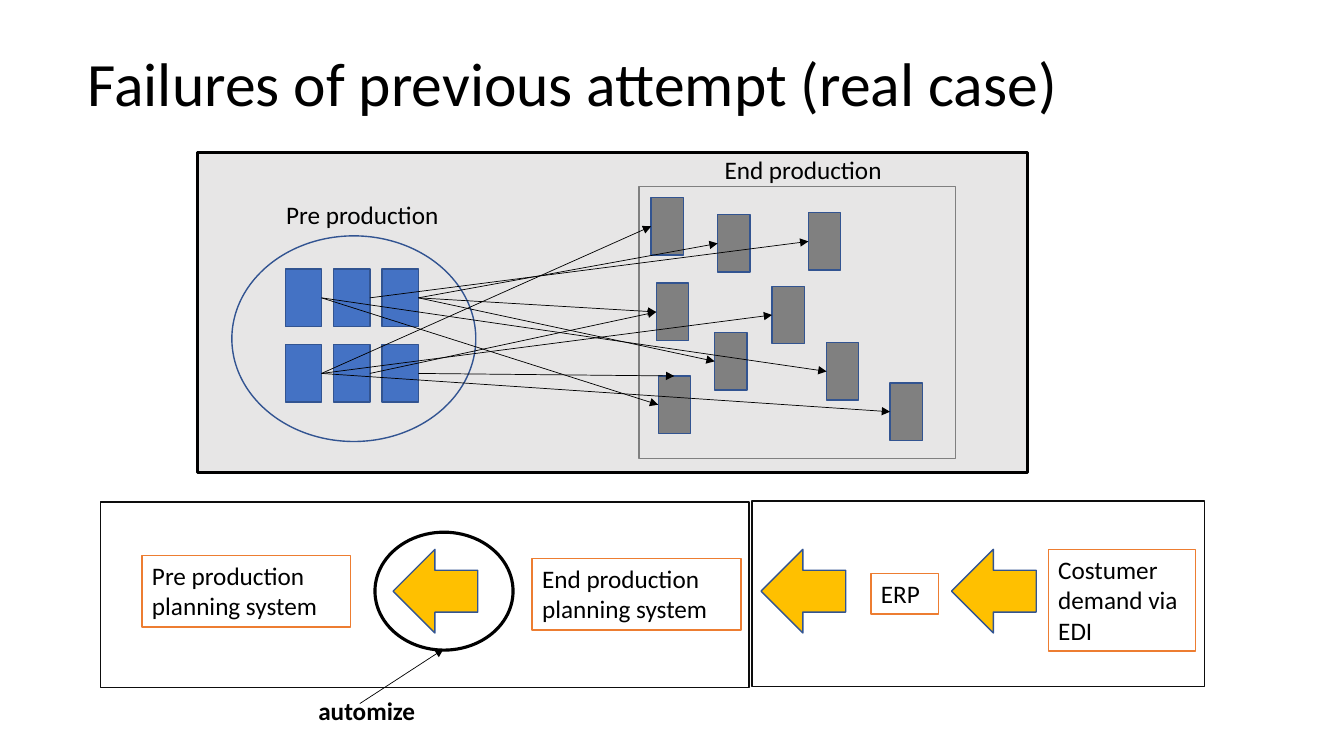
import pptx
import pptx.dml.color
import pptx.enum.shapes
import pptx.enum.text
import pptx.oxml
import pptx.util

COLUMNS, ROWS = 133.33, 75
CELL = pptx.util.Inches(0.1)
SHAPES = pptx.enum.shapes.MSO_SHAPE
TEXT = pptx.enum.text
TOP, LEFT, RIGHT = 0, 1, 3
BLACK, GREY, PALE, WHITE = "000000", "808080", "E7E6E6", "FFFFFF"
BLUE, NAVY, ORANGE, AMBER = "4472C4", "325491", "ED7D31", "FFC000"

# Places are (column, row) of the grid.
PRESS_SIZE = (3.6, 5.7)
STATION_SIZE = (3.2, 5.7)
STATIONS = {
    "lower left": (65.3, 37.3),
    "lower right": (82, 34),
    "lower middle": (70.9, 33),
    "upper right": (80.2, 21.1),
    "upper middle": (71.2, 21.3),
    "centre left": (65.1, 28.1),
    "upper left": (64.6, 19.6),
    "centre": (76.6, 28.4),
    "far right": (88.3, 38),
}
# Press (column, row), station, side of the station.
DELIVERIES = [
    ((2, 0), "upper middle", LEFT),
    ((2, 0), "centre left", LEFT),
    ((2, 0), "lower middle", LEFT),
    ((1, 1), "centre left", LEFT),
    ((0, 1), "upper left", LEFT),
    ((0, 0), "lower left", LEFT),
    ((0, 1), "far right", LEFT),
    ((1, 0), "upper right", LEFT),
    ((0, 1), "centre", LEFT),
    ((0, 0), "lower right", LEFT),
    ((2, 1), "lower left", TOP),
]
SYSTEMS = [
    ("Pre production planning system", (14.1, 55.1, 20.7, 7.1)),
    ("End production planning system", (52.8, 55.4, 20.7, 7.1)),
    ("ERP", (86.4, 56.9, 6.7, 4)),
    ("Costumer demand via EDI", (104, 54.5, 14.6, 10.1)),
]


def grid(*cells):
    return [round(cell * CELL) for cell in cells]


def colour(code):
    return pptx.dml.color.RGBColor.from_string(code)


def apply(target, values):
    """Set each attribute of target named in values."""
    for name, value in values.items():
        setattr(target, name, value)


def write(frame, words, size=18, bold=None, spacing=None,
          anchor=TEXT.MSO_ANCHOR.TOP):
    apply(frame, {"word_wrap": True, "auto_size": TEXT.MSO_AUTO_SIZE.NONE,
                  "vertical_anchor": anchor})
    para = frame.paragraphs[0]
    apply(para, {"alignment": TEXT.PP_ALIGN.LEFT, "line_spacing": spacing})
    span = para.add_run()
    span.text = words
    apply(span.font, {"name": "Calibri", "size": pptx.util.Pt(size), "bold": bold})
    span.font.color.rgb = colour(BLACK)


def add_title(page, words, place):
    title = page.shapes.title
    apply(title, dict(zip(("left", "top", "width", "height"), grid(*place))))
    write(title.text_frame, words, 44, spacing=0.9, anchor=TEXT.MSO_ANCHOR.MIDDLE)


def add_figure(page, kind, place, fill, line, weight=1):
    figure = page.shapes.add_shape(kind, *grid(*place))
    figure.shadow.inherit = False
    if fill:
        figure.fill.solid()
        figure.fill.fore_color.rgb = colour(fill)
    else:
        figure.fill.background()
    figure.line.color.rgb = colour(line)
    figure.line.width = pptx.util.Pt(weight)
    return figure


def add_label(page, words, place, bold=None):
    box = page.shapes.add_textbox(*grid(*place))
    write(box.text_frame, words, bold=bold)


def add_system(page, words, place):
    box = add_figure(page, SHAPES.RECTANGLE, place, WHITE, ORANGE)
    write(box.text_frame, words)


def add_arrow(page, start=(0, 0), end=(0, 0)):
    arrow = page.shapes.add_connector(
        pptx.enum.shapes.MSO_CONNECTOR.STRAIGHT, *grid(*start, *end))
    arrow.line.color.rgb = colour(BLACK)
    arrow.line.width = pptx.util.Pt(0.5)
    properties = arrow._element.spPr
    head = pptx.oxml.parse_xml(
        '<a:tailEnd xmlns:a="http://schemas.openxmlformats.org/drawingml/2006/main"'
        ' type="triangle"/>')
    properties.find(pptx.oxml.ns.qn("a:ln")).append(head)
    properties.append(pptx.oxml.parse_xml(
        '<a:effectLst xmlns:a="http://schemas.openxmlformats.org/drawingml/2006/main"/>'))
    return arrow


def draw_factory(page):
    add_figure(page, SHAPES.RECTANGLE, (19.6, 15.1, 82.3, 31.8), PALE, BLACK, 2.25)
    add_figure(page, SHAPES.RECTANGLE, (63.4, 18.5, 31.4, 27), PALE, GREY)
    add_figure(page, SHAPES.OVAL, (23, 23.4, 24.2, 20.4), PALE, NAVY)
    presses = {
        (column, row): add_figure(
            page, SHAPES.RECTANGLE,
            (28.3 + 4.8 * column, 26.7 + 7.5 * row, *PRESS_SIZE), BLUE, NAVY)
        for column in range(3) for row in range(2)}
    add_label(page, "Pre production", (27.4, 19.3, 32.8, 4))
    stations = {
        name: add_figure(page, SHAPES.RECTANGLE, (*place, *STATION_SIZE), GREY, NAVY)
        for name, place in STATIONS.items()}
    for press, station, side in DELIVERIES:
        arrow = add_arrow(page)
        arrow.begin_connect(presses[press], RIGHT)
        arrow.end_connect(stations[station], side)
    add_label(page, "End production", (70.9, 14.8, 23.7, 4))


def draw_planning(page):
    add_figure(page, SHAPES.RECTANGLE, (10, 49.8, 64.3, 18.4), WHITE, "0D0D0D")
    add_figure(page, SHAPES.RECTANGLE, (74.6, 49.7, 44.9, 18.4), WHITE, "0D0D0D")
    for column in (39, 75.5, 94.4):
        add_figure(page, SHAPES.LEFT_ARROW, (column, 54.5, 8.4, 8.3), AMBER, NAVY)
    for words, place in SYSTEMS:
        add_system(page, words, place)
    add_figure(page, SHAPES.OVAL, (37.2, 52.8, 13.7, 11.7), None, BLACK, 2.25)
    add_arrow(page, (35.7, 69.8), (44, 64.4))
    add_label(page, "automize", (30.6, 68.5, 16, 4), bold=True)


def main():
    deck = pptx.Presentation()
    deck.slide_width, deck.slide_height = grid(COLUMNS, ROWS)
    page = deck.slides.add_slide(deck.slide_layouts.get_by_name("Title Only"))
    add_title(page, "Failures of previous attempt (real case)", (7.7, 1.3, 115, 14.5))
    draw_factory(page)
    draw_planning(page)
    deck.save("out.pptx")


if __name__ == "__main__":
    main()
